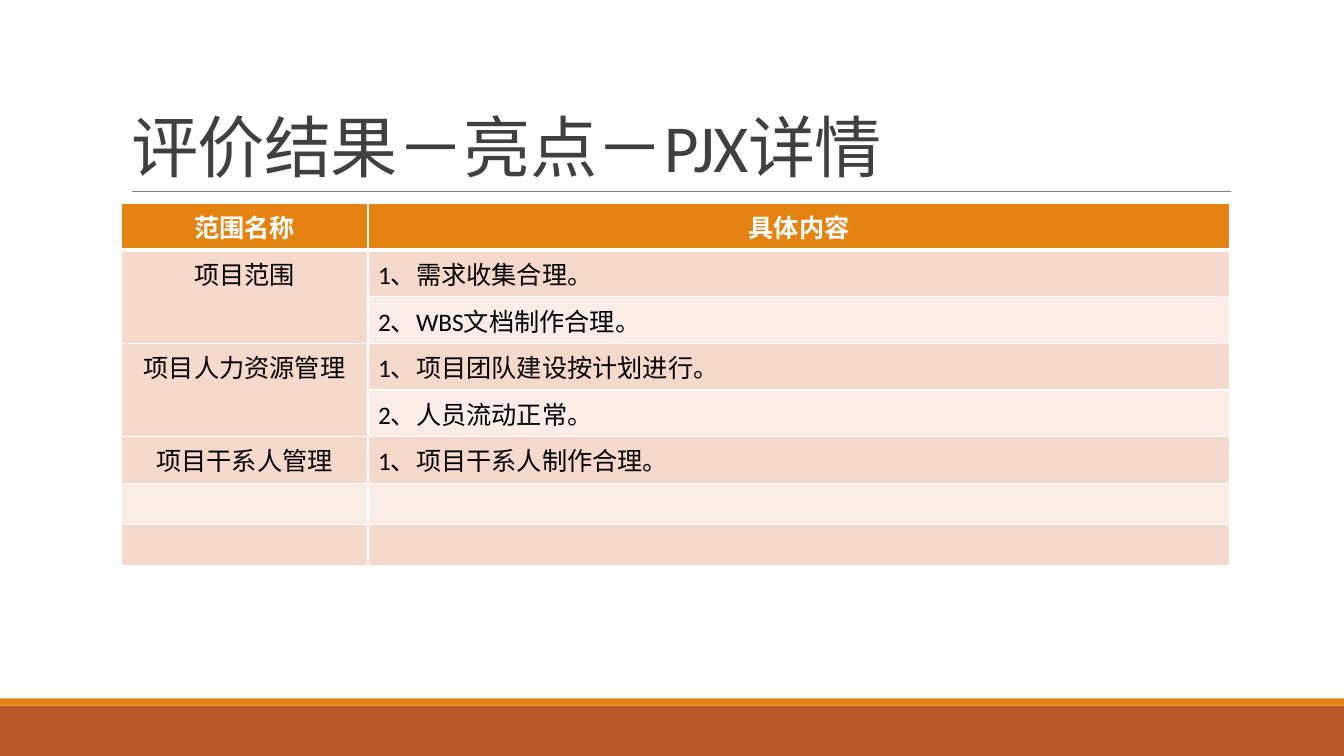
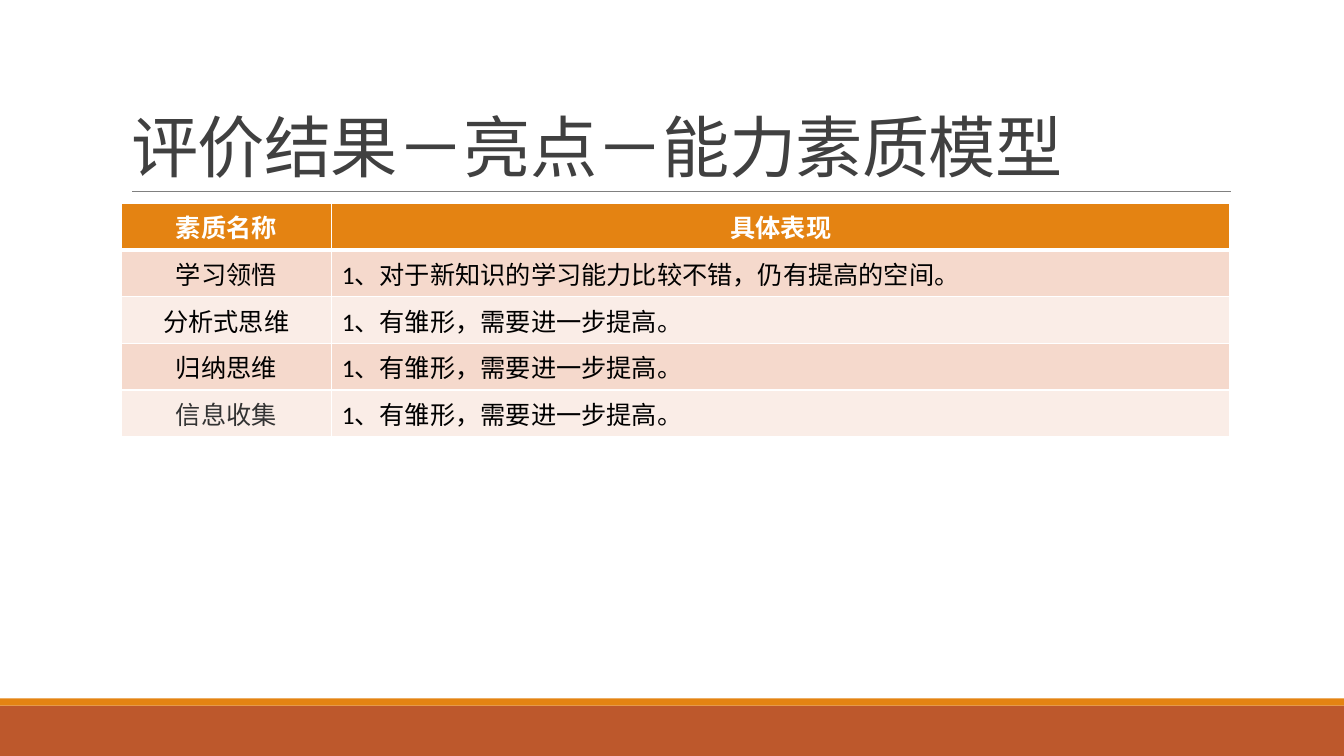
from lxml.etree import SubElement
from pptx import Presentation
from pptx.dml.color import RGBColor
from pptx.enum.shapes import MSO_CONNECTOR, MSO_SHAPE
from pptx.enum.text import MSO_ANCHOR, MSO_AUTO_SIZE, PP_ALIGN
from pptx.oxml.ns import qn
from pptx.util import Inches, Pt

WHITE = RGBColor(0xFF, 0xFF, 0xFF)
BLACK = RGBColor(0x00, 0x00, 0x00)
RUST = RGBColor(0xBD, 0x58, 0x2C)
ORANGE = RGBColor(0xE4, 0x83, 0x12)
RULE = RGBColor(0x80, 0x80, 0x80)
TITLE = RGBColor(0x40, 0x40, 0x40)
GREY = RGBColor(0x33, 0x33, 0x33)
BANDS = [RGBColor(0xFA, 0xED, 0xE7), RGBColor(0xF5, 0xD9, 0xCC)]
FONT = "Calibri"
LEFT, WIDTH, ROW = Inches(1.2), Inches(11), Inches(0.41)

# Title, width of first column, rows, merged row pairs, cells in another font
SLIDES = [
    ("评价结果－亮点－PJX详情", 2.45, [
        ("范围名称", "具体内容"),
        ("项目范围", "1、需求收集合理。"),
        ("", "2、WBS文档制作合理。"),
        ("项目人力资源管理", "1、项目团队建设按计划进行。"),
        ("", "2、人员流动正常。"),
        ("项目干系人管理", "1、项目干系人制作合理。"),
        ("", ""),
        ("", ""),
    ], [1, 3], {}),
    ("评价结果－亮点－能力素质模型", 2.09, [
        ("素质名称", "具体表现"),
        ("学习领悟", "1、对于新知识的学习能力比较不错，仍有提高的空间。"),
        ("分析式思维", "1、有雏形，需要进一步提高。"),
        ("归纳思维", "1、有雏形，需要进一步提高。"),
        ("信息收集", "1、有雏形，需要进一步提高。"),
    ], [], {(4, 0): ("Roboto", GREY)}),
]


def add_run(p, text, size, color, font=FONT, bold=False):
    r = p.add_run()
    r.text = text
    r.font.name, r.font.size, r.font.bold = font, Pt(size), bold
    r.font.color.rgb = color
    return r


def set_borders(cell, **widths):
    tcPr = cell._tc.get_or_add_tcPr()
    for side in "LRTB":
        ln = SubElement(tcPr, qn(f"a:ln{side}"), w=str(Pt(widths.get(side, 1))))
        fill = SubElement(ln, qn("a:solidFill"))
        SubElement(fill, qn("a:srgbClr"), val=str(WHITE))


prs = Presentation()
prs.slide_width, prs.slide_height = Inches(13.33), Inches(7.5)
layout = prs.slide_layouts[5]
slides = [prs.slides.add_slide(layout) for _ in SLIDES]

# Shared layout: title place, bottom bands, rule under the title
title = layout.placeholders[0]
title.left, title.top = LEFT, Inches(0.31)
title.width, title.height = WIDTH, Inches(1.59)

shapes = slides[0].shapes
decor = []
for top, height, color in [(7, 0.5, RUST), (6.93, 0.07, ORANGE)]:
    band = shapes.add_shape(MSO_SHAPE.RECTANGLE, 0, Inches(top),
                            prs.slide_width, Inches(height))
    band.shadow.inherit = False
    band.fill.solid()
    band.fill.fore_color.rgb = color
    band.line.fill.background()
    decor.append(band)
rule = shapes.add_connector(MSO_CONNECTOR.STRAIGHT, Inches(1.31), Inches(1.9),
                            Inches(12.21), Inches(1.9))
rule.line.color.rgb = RULE
rule.line.width = Pt(0.5)
SubElement(rule.element.spPr, qn("a:effectLst"))
decor.append(rule)

# Move the decoration to the layout, behind its placeholders
for i, shape in enumerate(decor):
    shape.element.xpath(".//p:cNvPr")[0].set("id", str(100 + i))
    layout.shapes.element.insert(2 + i, shape.element)

for s, (heading, first_col, rows, merges, special) in zip(slides, SLIDES):
    # Title
    tf = s.shapes.title.text_frame
    tf.auto_size = MSO_AUTO_SIZE.NONE
    tf.vertical_anchor = MSO_ANCHOR.BOTTOM
    p = tf.paragraphs[0]
    p.alignment, p.line_spacing = PP_ALIGN.LEFT, 0.85
    r = add_run(p, heading, 48, TITLE)
    r.font._element.set("spc", "-50")

    # Table
    table = s.shapes.add_table(len(rows), 2, LEFT, Inches(2.02),
                               WIDTH, ROW * len(rows)).table
    table.columns[0].width = Inches(first_col)
    table.columns[1].width = WIDTH - Inches(first_col)
    for i, row in enumerate(rows):
        table.rows[i].height = ROW
        header = i == 0
        for j, text in enumerate(row):
            cell = table.cell(i, j)
            set_borders(cell, T=3 if i == 1 else 1, B=3 if header else 1)
            cell.fill.solid()
            cell.fill.fore_color.rgb = ORANGE if header else BANDS[i % 2]
            if text:
                p = cell.text_frame.paragraphs[0]
                p.alignment = PP_ALIGN.CENTER if header or j == 0 else PP_ALIGN.LEFT
                font, color = special.get((i, j), (FONT, WHITE if header else BLACK))
                add_run(p, text, 18, color, font, header)
    for i in merges:
        table.cell(i, 0).merge(table.cell(i + 1, 0))

prs.save("out.pptx")
